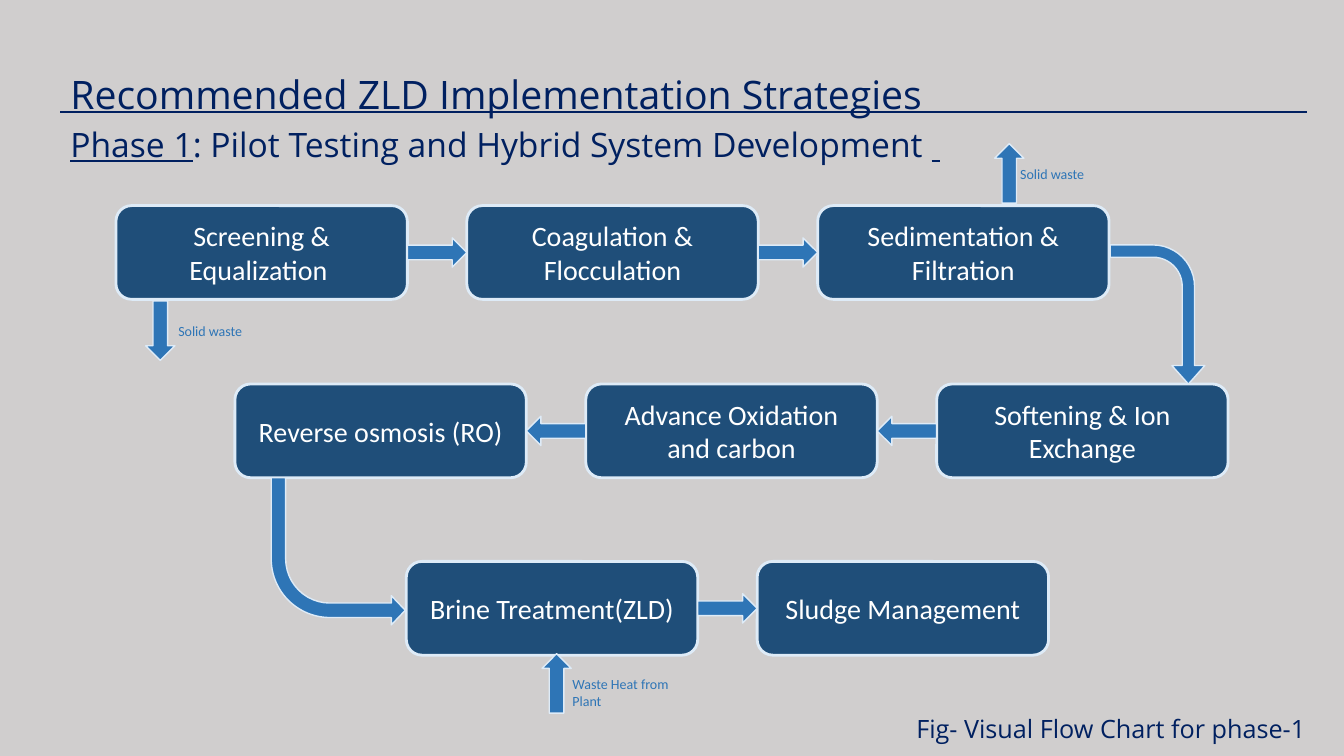
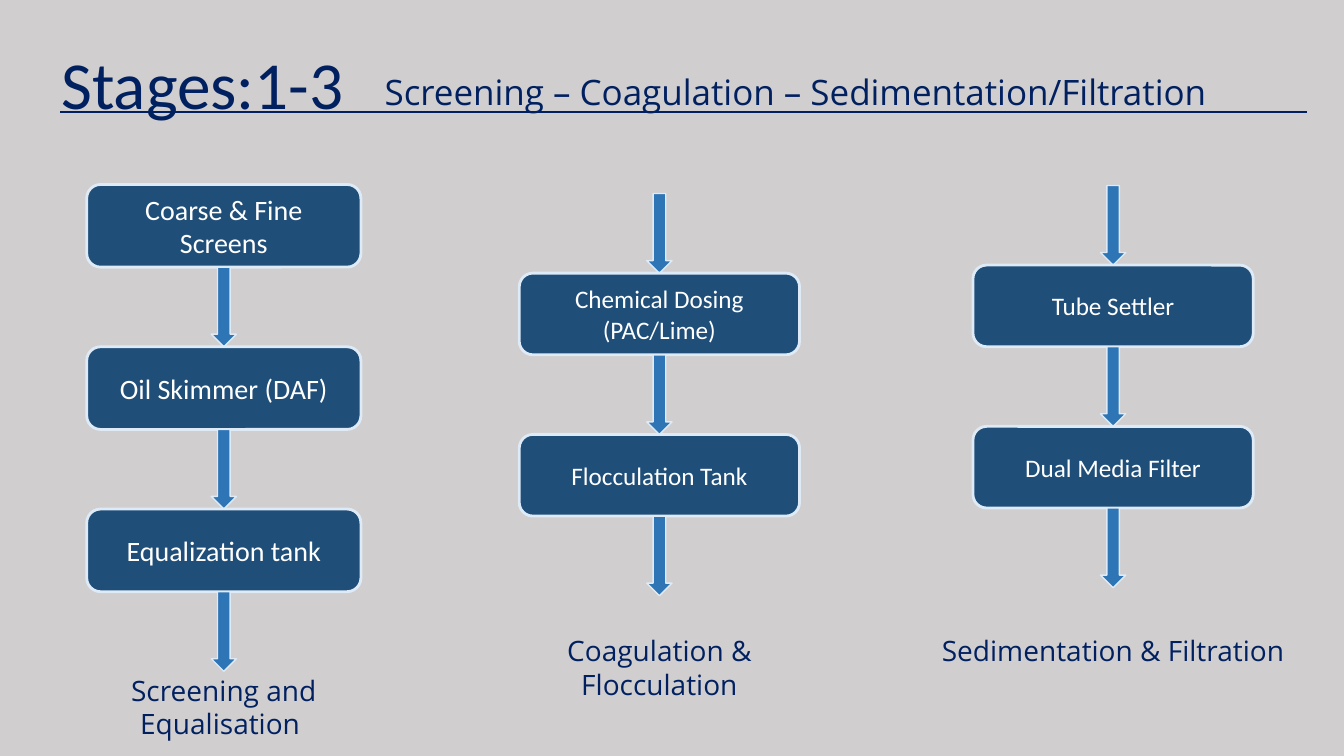
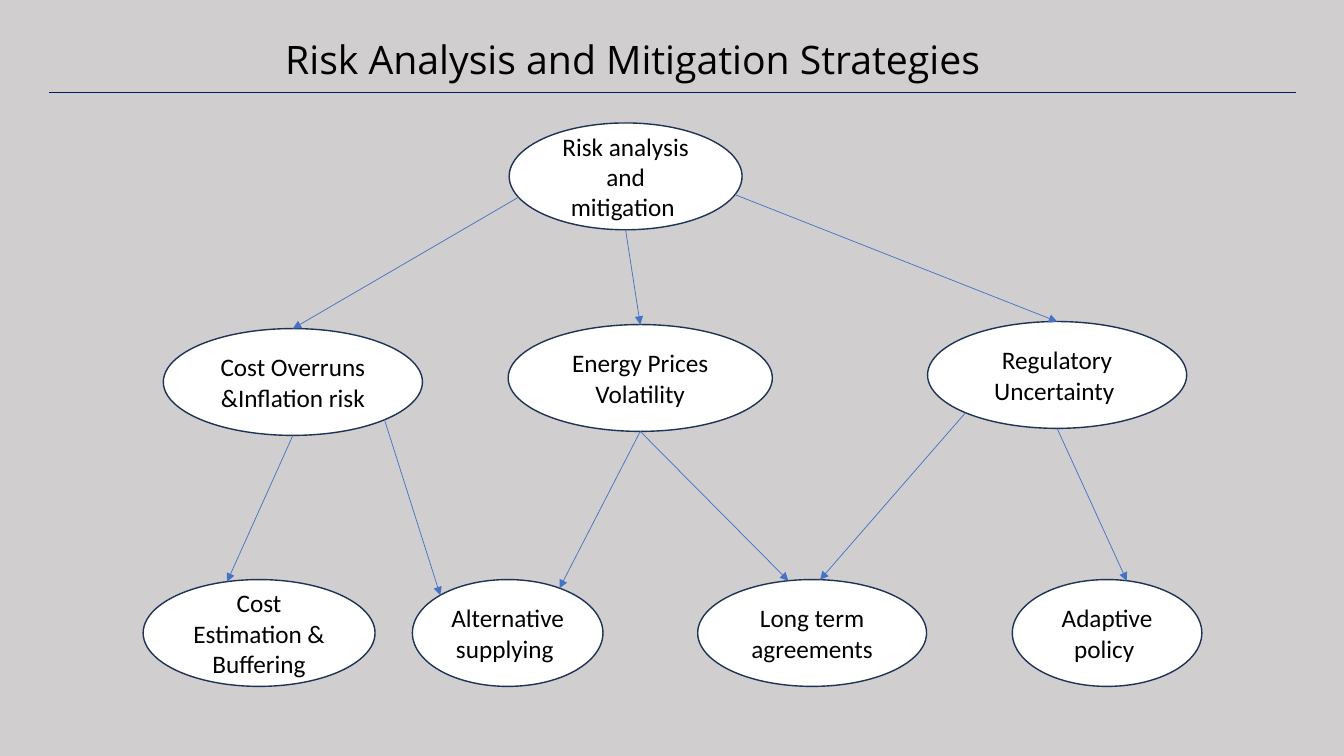
from math import cos, radians, sin

from lxml.etree import SubElement
from pptx import Presentation
from pptx.dml.color import RGBColor
from pptx.enum.shapes import MSO_CONNECTOR as CONNECTOR, MSO_SHAPE as SHAPE
from pptx.enum.text import MSO_ANCHOR as ANCHOR, PP_ALIGN as ALIGN
from pptx.oxml.ns import qn
from pptx.util import Inches, Pt

BACKGROUND = "D0CECE"
NAVY = "002060"
BOX_FILL = "1F4E79"
ARROW_FILL = "2E75B6"
PALE = "DEEBF7"
WHITE = "FFFFFF"
BLACK = "000000"
OVAL_LINE = "1E3256"
LINK = "4472C4"
HEADING_FONT = "Open Sans"
BODY_FONT = "Calibri"


def paint(color_owner, color):
    """Give a fill's or font's colour from a hex string."""
    color_owner.rgb = RGBColor.from_string(color)


def write_text(shape, text, size=20, color=WHITE, font=BODY_FONT,
               align=ALIGN.CENTER, anchor=ANCHOR.MIDDLE):
    """Write lines as paragraphs; text between underscores is underlined."""
    frame = shape.text_frame
    frame.word_wrap = True
    frame.vertical_anchor = anchor
    for number, line in enumerate(text.split("\n")):
        paragraph = frame.add_paragraph() if number else frame.paragraphs[0]
        paragraph.alignment = align
        for part_number, part in enumerate(line.split("_")):
            if not part:
                continue
            run = paragraph.add_run()
            run.text = part
            run.font.size = Pt(size)
            run.font.name = font
            run.font.underline = part_number % 2 == 1
            paint(run.font.color, color)


def add_label(slide, text, left, top, width, height, **style):
    style = {"color": NAVY, "font": HEADING_FONT, "align": ALIGN.LEFT,
             "anchor": ANCHOR.TOP, **style}
    label = slide.shapes.add_textbox(*map(Inches, (left, top, width, height)))
    write_text(label, text, **style)


def add_filled(slide, kind, left, top, width, height, fill, line, line_width):
    shape = slide.shapes.add_shape(kind, *map(Inches, (left, top, width, height)))
    shape.shadow.inherit = False
    shape.fill.solid()
    paint(shape.fill.fore_color, fill)
    paint(shape.line.color, line)
    shape.line.width = Pt(line_width)
    return shape


def add_process(slide, text, left, top, width, height, size=20):
    box = add_filled(slide, SHAPE.ROUNDED_RECTANGLE, left, top, width, height,
                     BOX_FILL, PALE, 2)
    write_text(box, text, size=size)


def add_arrow(slide, center_x, center_y, length, thickness, rotation=0):
    arrow = add_filled(slide, SHAPE.RIGHT_ARROW, center_x - length / 2,
                       center_y - thickness / 2, length, thickness,
                       ARROW_FILL, PALE, 1)
    arrow.rotation = rotation


def add_bent_arrow(slide, left, top, width, height, adjustments,
                   rotation=0, flipped=False):
    arrow = add_filled(slide, SHAPE.BENT_ARROW, left, top, width, height,
                       ARROW_FILL, PALE, 1)
    for number, value in enumerate(adjustments):
        arrow.adjustments[number] = value
    arrow.rotation = rotation
    if flipped:
        arrow.element.spPr.find(qn("a:xfrm")).set("flipV", "1")


def add_line(slide, start, end, color, width, arrowhead=False):
    line = slide.shapes.add_connector(CONNECTOR.STRAIGHT,
                                      *map(Inches, (*start, *end)))
    paint(line.line.color, color)
    line.line.width = Pt(width)
    properties = line.element.spPr
    if arrowhead:
        SubElement(properties.find(qn("a:ln")), qn("a:tailEnd"), type="triangle")
    SubElement(properties, qn("a:effectLst"))


def add_title_rule(slide, left=0.6, top=1.11):
    add_line(slide, (left, top), (left + 12.36, top), NAVY, 1)


def process_row(slide, left, top, labels, direction=0):
    """Place a row of boxes with arrows in its gaps, turned to direction."""
    width, height, gap = 2.89, 0.93, 0.59
    for number, text in enumerate(labels):
        box_left = left + number * (width + gap)
        add_process(slide, text, box_left, top, width, height)
        if number:
            add_arrow(slide, box_left - gap / 2, top + height / 2,
                      gap, 0.29, direction)


def side_stream(slide, center_x, center_y, rotation, text, label_left,
                label_height=0.27):
    """Place a vertical arrow with a small label beside it."""
    add_arrow(slide, center_x, center_y, 0.59, 0.29, rotation)
    add_label(slide, text, label_left, center_y - 0.13, 1.34, label_height,
              size=10, color=ARROW_FILL, font=BODY_FONT)


def flow_chart_slide(slide):
    add_label(slide, "Recommended ZLD Implementation Strategies",
              0.6, 0.65, 11.12, 0.57, size=28)
    add_title_rule(slide)
    add_label(slide, "_Phase 1_: Pilot Testing and Hybrid System Development _ _",
              0.6, 1.18, 11.12, 0.5, size=24)
    process_row(slide, 1.15, 2.04, ["Screening & Equalization ",
                                    "Coagulation & Flocculation",
                                    "Sedimentation & Filtration"])
    process_row(slide, 2.33, 3.81, ["Reverse osmosis (RO)",
                                    "Advance Oxidation and carbon",
                                    "Softening & Ion Exchange"], direction=180)
    process_row(slide, 4.03, 5.57, ["Brine Treatment(ZLD)", "Sludge Management"])
    add_bent_arrow(slide, 10.79, 2.65, 1.38, 0.94,
                   (0.13, 0.174, 0.195, 0.438), rotation=90)
    add_bent_arrow(slide, 2.69, 4.74, 1.33, 1.46,
                   (0.108, 0.109, 0.104, 0.438), flipped=True)
    side_stream(slide, 5.52, 6.78, 270, "Waste Heat from Plant", 5.58, 0.44)
    side_stream(slide, 10.01, 1.72, 270, "Solid waste", 10.02)
    side_stream(slide, 1.59, 3.28, 90, "Solid waste", 1.67)
    add_label(slide, "Fig- Visual Flow Chart for phase-1",
              8.99, 7.03, 4.34, 0.4, size=18)


def stage_column(slide, left, top, width, height, labels, caption,
                 caption_top, caption_width, size=18, lead_in=True):
    """Stack boxes, each followed by a down arrow, above a caption."""
    gap = 0.79
    center = left + width / 2
    if lead_in:
        add_arrow(slide, center, top - gap / 2, gap, 0.25, 90)
    for number, text in enumerate(labels):
        box_top = top + number * (height + gap)
        add_process(slide, text, left, box_top, width, height, size)
        add_arrow(slide, center, box_top + height + gap / 2, gap, 0.25, 90)
    add_label(slide, caption, center - caption_width / 2, caption_top,
              caption_width, 0.8, size=20, align=ALIGN.CENTER)


def stages_slide(slide):
    add_label(slide, "Screening – Coagulation – Sedimentation/Filtration ",
              2.82, 0.65, 10.23, 0.94, size=25, align=ALIGN.CENTER)
    add_title_rule(slide)
    add_label(slide, "Stages:1-3", 0.51, 0.37, 3.25, 0.94, size=48, font=BODY_FONT)
    stage_column(slide, 0.86, 1.83, 2.72, 0.82,
                 ["Coarse & Fine Screens", "Oil Skimmer (DAF)", "Equalization tank"],
                 "Screening and Equalisation ", 6.63, 2.63, size=20, lead_in=False)
    stage_column(slide, 5.15, 2.71, 2.78, 0.81,
                 ["Chemical Dosing\n(PAC/Lime)", "Flocculation Tank"],
                 "Coagulation & Flocculation", 6.24, 3.48)
    stage_column(slide, 9.65, 2.63, 2.78, 0.81,
                 ["Tube Settler", "Dual Media Filter"],
                 "Sedimentation & Filtration", 6.24, 3.69)


OVAL_HEIGHT = 1.06
# name: (text, left, top, width)
OVALS = {
    "root": ("Risk analysis and mitigation ", 5.05, 1.22, 2.31),
    "cost": ("Cost Overruns &Inflation risk", 1.62, 3.26, 2.57),
    "energy": ("Energy Prices Volatility", 5.04, 3.22, 2.62),
    "regulation": ("Regulatory Uncertainty ", 9.2, 3.19, 2.57),
    "buffering": ("Cost Estimation & Buffering", 1.42, 5.75, 2.3),
    "supplying": ("Alternative supplying ", 4.09, 5.75, 1.89),
    "agreements": ("Long term agreements", 6.92, 5.75, 2.27),
    "policy": ("Adaptive policy ", 10.04, 5.75, 1.88),
}
# from, angle, to, angle: degrees clockwise from the right-hand side
RISK_LINKS = [
    ("root", 157, "cost", 270),
    ("root", 90, "energy", 270),
    ("root", 20, "regulation", 270),
    ("cost", 90, "buffering", 254),
    ("cost", 45, "supplying", 225),
    ("energy", 90, "supplying", 303),
    ("energy", 90, "agreements", 258),
    ("regulation", 135, "agreements", 274),
    ("regulation", 90, "policy", 282),
]


def oval_point(name, angle):
    """Return the point on an oval's outline at an angle."""
    _, left, top, width = OVALS[name]
    return (left + width / 2 * (1 + cos(radians(angle))),
            top + OVAL_HEIGHT / 2 * (1 + sin(radians(angle))))


def risk_slide(slide):
    for text, left, top, width in OVALS.values():
        oval = add_filled(slide, SHAPE.OVAL, left, top, width, OVAL_HEIGHT,
                          WHITE, OVAL_LINE, 1)
        write_text(oval, text, size=18, color=BLACK)
    for source, source_angle, target, target_angle in RISK_LINKS:
        add_line(slide, oval_point(source, source_angle),
                 oval_point(target, target_angle), LINK, 0.5, arrowhead=True)
    add_label(slide, "Risk Analysis and Mitigation Strategies",
              2.73, 0.3, 8.92, 0.99, size=28, color=BLACK)
    add_title_rule(slide, 0.49, 0.92)


def main():
    presentation = Presentation()
    presentation.slide_width = Inches(13.33)
    presentation.slide_height = Inches(7.5)
    background = presentation.slide_master.background.fill
    background.solid()
    paint(background.fore_color, BACKGROUND)
    for build in (flow_chart_slide, stages_slide, risk_slide):
        build(presentation.slides.add_slide(presentation.slide_layouts[6]))
    presentation.save("out.pptx")


if __name__ == "__main__":
    main()
